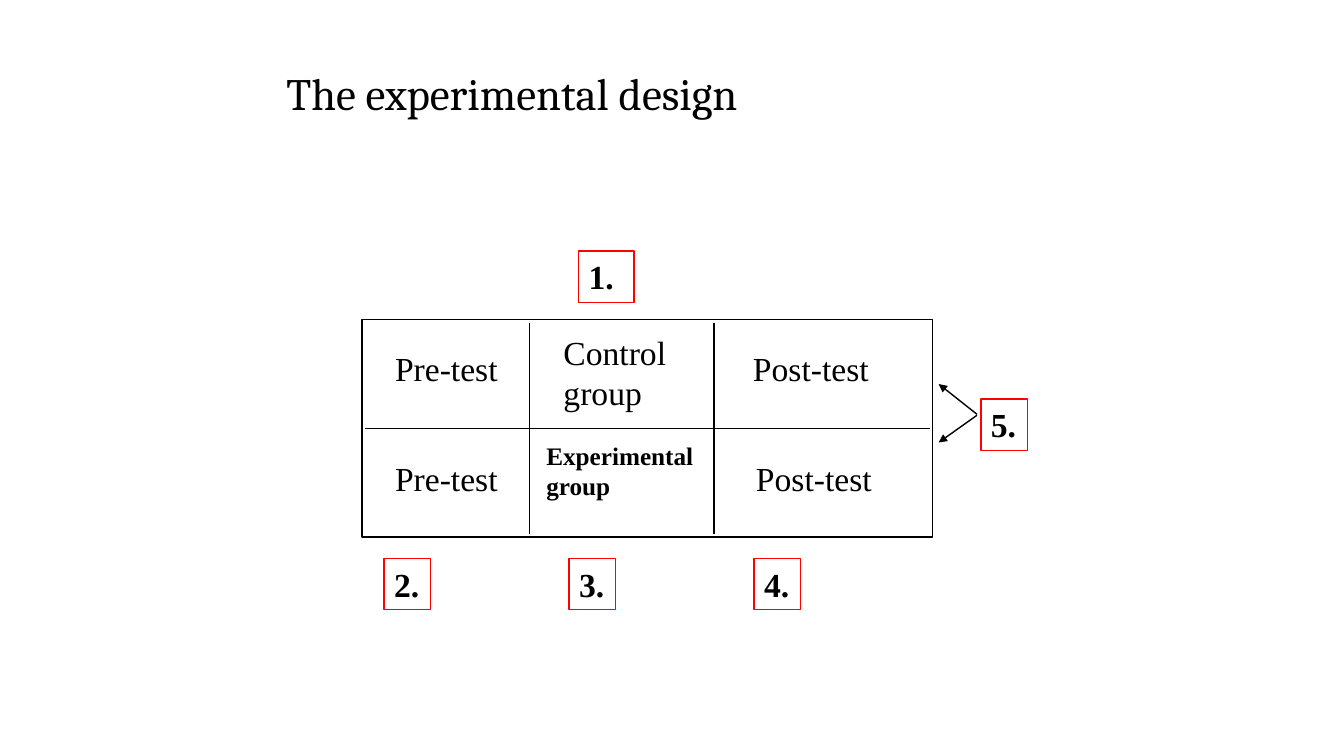
from dataclasses import dataclass

from lxml import etree
from pptx import Presentation
from pptx.dml.color import RGBColor
from pptx.enum.shapes import MSO_CONNECTOR, MSO_SHAPE
from pptx.enum.text import MSO_ANCHOR, PP_ALIGN
from pptx.oxml.ns import qn
from pptx.util import Inches, Pt

RECTANGLE = MSO_SHAPE.RECTANGLE
STRAIGHT = MSO_CONNECTOR.STRAIGHT
TOP, MIDDLE = MSO_ANCHOR.TOP, MSO_ANCHOR.MIDDLE
LEFT = PP_ALIGN.LEFT


@dataclass(frozen=True)
class Theme:
    """Colours, fonts and type sizes of the slide."""
    ink: RGBColor = RGBColor(0, 0, 0)
    paper: RGBColor = RGBColor(255, 255, 255)
    marker: RGBColor = RGBColor(255, 0, 0)
    title_font: str = "Cambria"
    body_font: str = "Times New Roman"
    title_size: int = 32
    body_size: int = 24
    small_size: int = 18
    line_width: float = 1


THEME = Theme()


def write(shape, wording, size, font=THEME.body_font, bold=False, anchor=TOP):
    """Write left-aligned text into a shape and format its runs."""
    frame = shape.text_frame
    frame.text = wording
    frame.word_wrap = True
    frame.vertical_anchor = anchor
    frame.margin_right = 0
    for paragraph in frame.paragraphs:
        paragraph.alignment = LEFT
        for run in paragraph.runs:
            run.font.name = font
            run.font.size = Pt(size)
            run.font.bold = bold
            run.font.color.rgb = THEME.ink


def add_label(slide, box, wording, size, **style):
    """Add a text box with formatted wording."""
    label = slide.shapes.add_textbox(*map(Inches, box))
    write(label, wording, size, **style)
    return label


def add_frame(slide, box, colour):
    """Add an outlined rectangle without fill or shadow."""
    frame = slide.shapes.add_shape(RECTANGLE, *map(Inches, box))
    frame.shadow.inherit = False
    frame.fill.background()
    frame.line.color.rgb = colour
    frame.line.width = Pt(THEME.line_width)
    return frame


def add_line(slide, start, end, arrow=False):
    """Add a thin straight line, optionally with an arrowhead at its end."""
    line = slide.shapes.add_connector(STRAIGHT, *map(Inches, (*start, *end)))
    line.line.color.rgb = THEME.ink
    line.line.width = Pt(THEME.line_width)
    if arrow:
        etree.SubElement(line.line._get_or_add_ln(), qn("a:tailEnd"), type="triangle")
    etree.SubElement(line._element.spPr, qn("a:effectLst"))


def add_title(slide, box):
    """Place the indented slide title in its box."""
    title = add_label(slide, box, "The experimental design", THEME.title_size,
                      font=THEME.title_font, anchor=MIDDLE)
    title.text_frame.margin_left = Inches(0.59)
    title.text_frame.paragraphs[0].line_spacing = 0.9


def add_design_grid(slide, box):
    """Draw the two-by-three design grid with its wording."""
    left, top, width, height = box
    grid = add_frame(slide, box, THEME.ink)
    grid.fill.solid()
    grid.fill.fore_color.rgb = THEME.paper

    inset, row = 0.03, height / 2
    add_line(slide, (left + inset, top + row), (left + width - inset, top + row))
    for divider in (1.66, 3.49):
        add_line(slide, (left + divider, top + inset),
                 (left + divider, top + height - inset))

    for index, post_left in enumerate((3.78, 3.81)):
        row_top = top + 0.23 + index * 1.09
        add_label(slide, (left + 0.23, row_top, 1.23, 0.51), "Pre-test", THEME.body_size)
        add_label(slide, (left + post_left, row_top, 1.36, 0.51), "Post-test",
                  THEME.body_size)
    add_label(slide, (left + 1.9, top + 0.07, 1.31, 0.91), "Control\ngroup",
              THEME.body_size)
    add_label(slide, (left + 1.73, top + row + 0.07, 1.67, 0.71),
              "Experimental\ngroup", THEME.small_size, bold=True)


def add_markers(slide, box):
    """Place the numbered markers and the arrows around the grid."""
    left, top, width, height = box
    right, middle = left + width, top + height / 2
    places = [(left + 2.15, top - 0.68, 0.55)]
    places += [(left + 0.22 + column * 1.835, top + height + 0.21, 0.46)
               for column in range(3)]
    places.append((right + 0.48, middle - 0.29, 0.46))
    for number, (x, y, marker_width) in enumerate(places, start=1):
        marker = add_frame(slide, (x, y, marker_width, 0.51), THEME.marker)
        write(marker, f"{number}.", THEME.body_size, bold=True)

    for start_rise, end_rise in ((0.14, 0.44), (0.13, -0.14)):
        add_line(slide, (right + 0.44, middle - start_rise),
                 (right + 0.06, middle - end_rise), arrow=True)


def main():
    """Build and save the experimental design slide."""
    deck = Presentation()
    deck.slide_width, deck.slide_height = Inches(13.33), Inches(7.5)
    slide = deck.slides.add_slide(deck.slide_layouts[6])
    grid_box = (3.59, 3.17, 5.66, 2.16)
    add_title(slide, (2.25, 0.33, 8.5, 1.25))
    add_design_grid(slide, grid_box)
    add_markers(slide, grid_box)
    deck.save("out.pptx")


if __name__ == "__main__":
    main()
